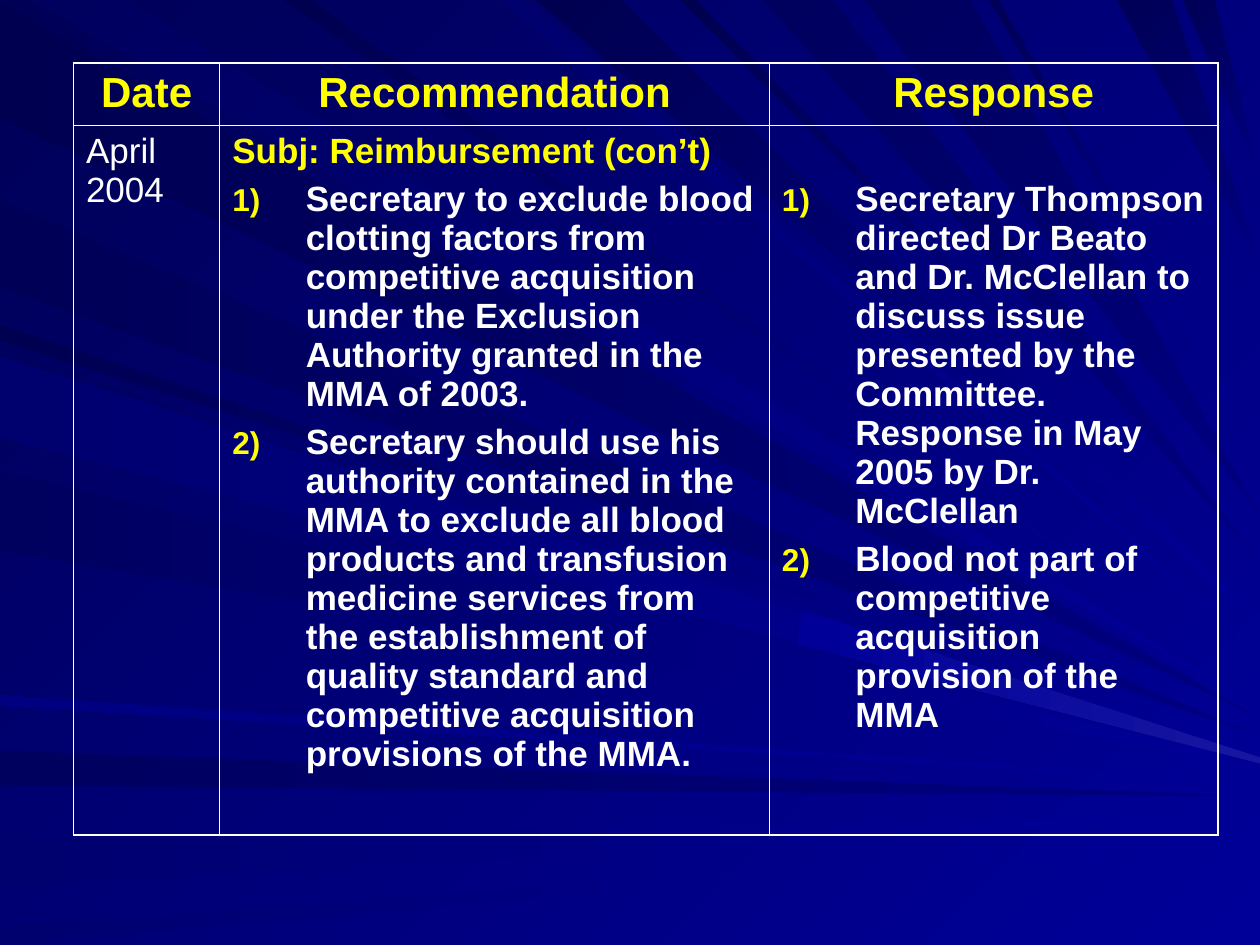
from lxml.etree import SubElement
from pptx import Presentation
from pptx.dml.color import RGBColor as Rgb
from pptx.enum.text import PP_ALIGN as Align
from pptx.oxml.ns import qn
from pptx.util import Cm, Pt

COLOURS = {"text": "FFFFFF", "accent": "FFFF00", "bright": "000099", "dark": "000057",
           "blue": "000080", "deep": "000050", "mid": "00005E", "soft": "00006E",
           "glow": "1616A1"}
FONT = "Arial"
RAY_UNIT = Cm(0.0254)  # the page is 1000 x 750 ray units
RIGHT_EDGE = 1000
OUTER, INNER = Pt(1.08), Pt(0.45)

# Rays end in a tip on the right edge: start and end on their side, tip height, shades
LEFT_RAYS = [
    (2, 93, 570, "blue", "deep"),
    (596, 623, 632, "blue", "mid"),
    (665, 704, 647, "bright", "soft"),
    (735, 750, 662, "bright", "soft"),
    (258, 270, 589, "bright", "deep"),
    (159, 228, 585, "blue", "dark"),
    (278, 342, 600, "bright", "mid"),
    (374, 437, 606, "bright", "mid"),
    (552, 560, 622, "bright", "blue"),
    (283, 347, 604, "bright", "soft"),
]
TOP_RAYS = [
    (26, 101, 563, "bright", "mid"),
    (398, 416, 518, "bright", "soft"),
    (426, 492, 493, "bright", "deep"),
    (540, 552, 463, "bright", "deep"),
    (606, 661, 446, "blue", "mid"),
    (887, 930, 210, "blue", "dark"),
    (939, 964, 140, "blue", "dark"),
    (225, 247, 550, "bright", "deep"),
    (686, 770, 409, "blue", "mid"),
    (785, 792, 357, "bright", "dark"),
]
GLOW = [(637, 485), (633, 511), (RIGHT_EDGE, 606), (RIGHT_EDGE, 601)]

HEADINGS = ["Date", "Recommendation", "Response"]
SUBJECT = "Subj: Reimbursement (con’t)"
RECOMMENDATIONS = [
    "Secretary to exclude blood clotting factors from competitive acquisition under the "
    "Exclusion Authority granted in the MMA of 2003.",
    "Secretary should use his authority contained in the MMA to exclude all blood products and "
    "transfusion medicine services from the establishment of quality standard and competitive "
    "acquisition provisions of the MMA.",
]
RESPONSES = [
    "Secretary Thompson directed Dr Beato and Dr. McClellan to discuss issue presented by the "
    "Committee. Response in May 2005 by Dr. McClellan",
    "Blood not part of competitive acquisition provision of the MMA",
]


def paint(fill, first, last, angle):
    """Fill with a gradient at a counter-clockwise angle."""
    fill.gradient()
    fill.gradient_angle = angle
    for stop, name in zip(fill.gradient_stops, (first, last)):
        stop.color.rgb = Rgb.from_string(COLOURS[name])


def draw_ray(page, points, first, last, angle):
    builder = page.shapes.build_freeform(*points[0], scale=RAY_UNIT)
    builder.add_line_segments(points[1:], close=True)
    ray = builder.convert_to_shape()
    ray.shadow.inherit = False
    ray.line.fill.background()
    paint(ray.fill, first, last, angle)


def draw_backdrop(page):
    paint(page.background.fill, "bright", "dark", 135)
    for start, end, tip, first, last in LEFT_RAYS:
        draw_ray(page, [(0, start), (0, end), (RIGHT_EDGE, tip)], first, last, 180)
    for start, end, tip, first, last in TOP_RAYS:
        draw_ray(page, [(start, 0), (end, 0), (RIGHT_EDGE, tip)], first, last, 135)
    draw_ray(page, GLOW, "glow", "bright", 180)


def style(para, size, colour, bold=True):
    para.font.name, para.font.size, para.font.bold = FONT, Pt(size), bold
    para.font.color.rgb = Rgb.from_string(COLOURS[colour])


def add_numbering(para):
    """Hang the paragraph behind an automatic number such as 1)."""
    props = para._p.get_or_add_pPr()
    props.set("marL", str(Cm(1.48)))
    props.set("indent", str(-Cm(1.48)))
    SubElement(SubElement(props, qn("a:buClr")), qn("a:srgbClr"), val=COLOURS["accent"])
    SubElement(props, qn("a:buSzPct"), val="90000")
    SubElement(props, qn("a:buAutoNum"), type="arabicParenR")


def write_numbered(cell, items, heading=None):
    texts = ([heading] if heading else []) + items
    frame = cell.text_frame
    for index, text in enumerate(texts):
        para = frame.add_paragraph() if index else frame.paragraphs[0]
        para.text = text
        if text != heading:
            add_numbering(para)
        if index:
            para.space_before = Pt(5)
        style(para, 20, "accent" if text == heading else "text")


def set_borders(cell, row, column, last_row, last_column):
    outer_sides = {"L": column == 0, "R": column == last_column,
                   "T": row == 0, "B": row == last_row}
    props = cell._tc.get_or_add_tcPr()
    for side, is_outer in outer_sides.items():
        line = SubElement(props, qn(f"a:ln{side}"), w=str(OUTER if is_outer else INNER))
        SubElement(SubElement(line, qn("a:solidFill")), qn("a:srgbClr"), val=COLOURS["text"])


def add_recommendations(page, left, top, widths, heights):
    frame = page.shapes.add_table(len(heights), len(widths), left, top, sum(widths), sum(heights))
    table = frame.table
    table.first_row = table.horz_banding = False
    for column, width in zip(table.columns, widths):
        column.width = width
    for row, height in zip(table.rows, heights):
        row.height = height

    # Borders and clear cells
    for row in range(len(heights)):
        for column in range(len(widths)):
            cell = table.cell(row, column)
            set_borders(cell, row, column, len(heights) - 1, len(widths) - 1)
            cell.fill.background()

    # Heading row
    for column, heading in enumerate(HEADINGS):
        para = table.cell(0, column).text_frame.paragraphs[0]
        para.text, para.alignment = heading, Align.CENTER
        style(para, 24, "accent")

    # Entry row; the responses start level with the first recommendation
    date, recommendation, response = table.rows[1].cells
    date.text = "April 2004"
    style(date.text_frame.paragraphs[0], 20, "text", bold=False)
    write_numbered(recommendation, RECOMMENDATIONS, SUBJECT)
    write_numbered(response, RESPONSES)
    response.margin_top = Cm(1.09)


def main():
    deck = Presentation()
    deck.slide_width, deck.slide_height = Cm(25.4), Cm(19.05)
    page = deck.slides.add_slide(deck.slide_layouts[6])
    draw_backdrop(page)
    add_recommendations(page, Cm(1.48), Cm(1.27),
                        widths=[Cm(2.95), Cm(11.08), Cm(9.04)], heights=[Cm(1.26), Cm(14.3)])
    deck.save("out.pptx")


if __name__ == "__main__":
    main()
